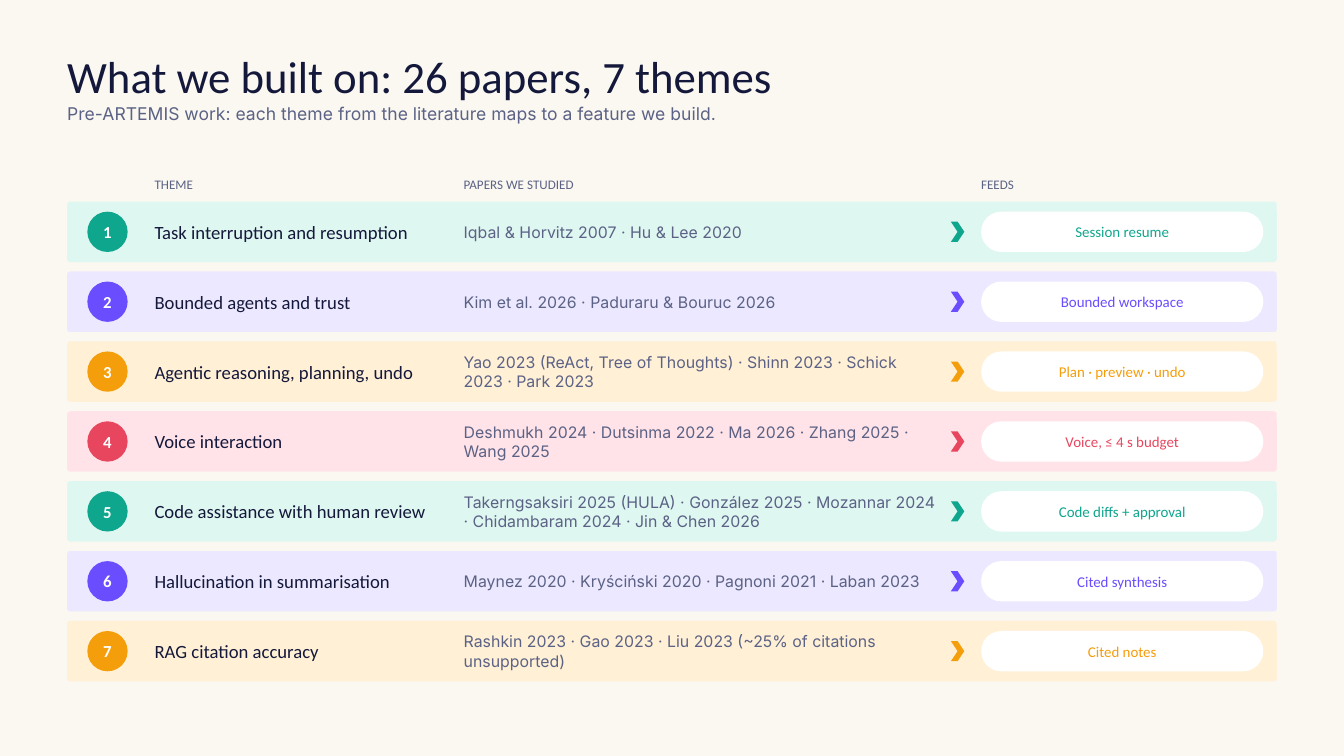
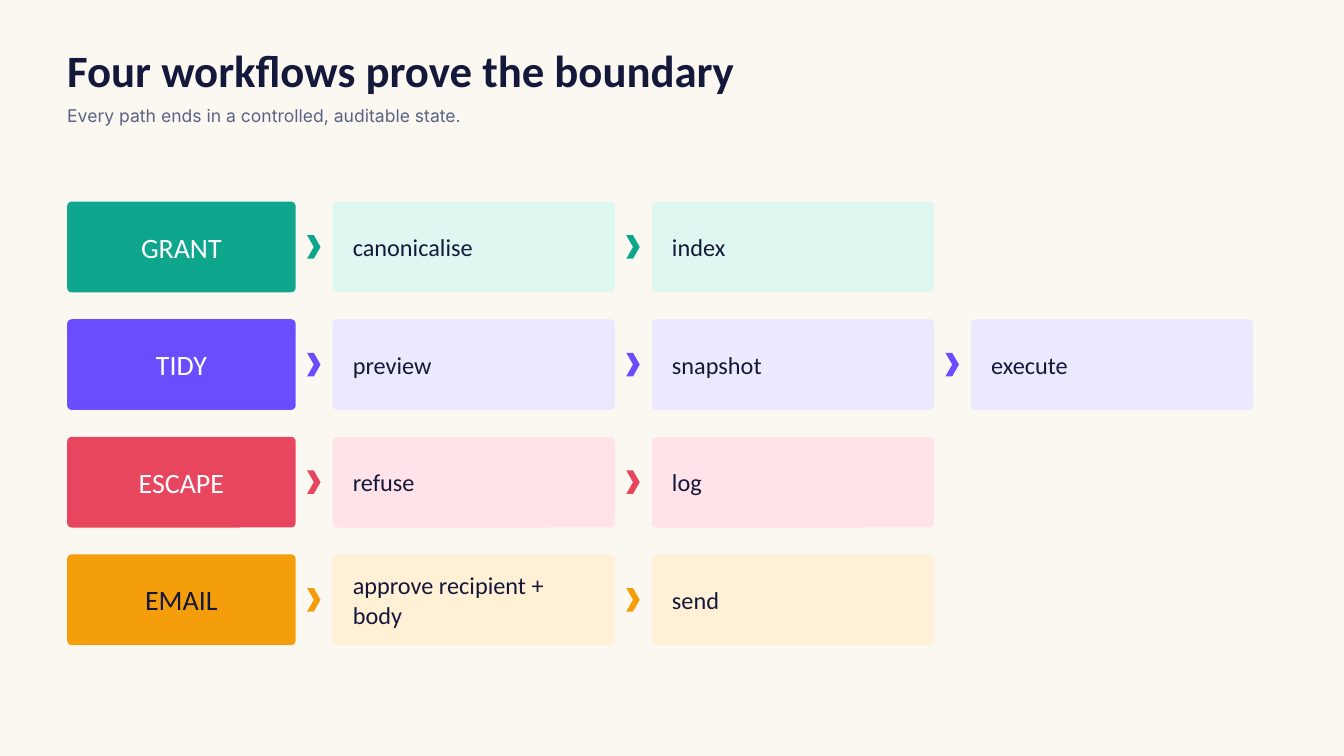
import pptx
import pptx.util
import pptx.dml.color
import pptx.enum.shapes
import pptx.enum.text

Inches = pptx.util.Inches
Pt = pptx.util.Pt
SHAPES = pptx.enum.shapes.MSO_SHAPE
ALIGN = pptx.enum.text.PP_ALIGN
ANCHOR = pptx.enum.text.MSO_ANCHOR

COLOURS = {
    "paper": "FBF8F1", "ink": "14183A", "muted": "5B6285", "white": "FFFFFF",
    "green": "0FA68E", "pale green": "DFF7F1",
    "violet": "6A4DFF", "pale violet": "ECE8FF",
    "amber": "F59E0B", "pale amber": "FFF0D6",
    "red": "E8465F", "pale red": "FFE3E8",
}

STYLES = {
    "title": {"name": "Calibri", "size": Pt(48)},
    "bold title": {"name": "Calibri", "size": Pt(48), "bold": True},
    "subtitle": {"name": "Inter", "size": Pt(18.8)},
    "heading": {"name": "Calibri", "size": Pt(14)},
    "number": {"name": "Calibri", "size": Pt(18), "bold": True},
    "theme": {"name": "Calibri", "size": Pt(20)},
    "papers": {"name": "Inter", "size": Pt(17)},
    "feature": {"name": "Calibri", "size": Pt(16)},
    "workflow": {"name": "Calibri", "size": Pt(30)},
    "step": {"name": "Calibri", "size": Pt(26)},
}

HEADINGS = [("THEME", 2.3, 4.4), ("PAPERS WE STUDIED", 6.9, 7), ("FEEDS", 14.6, 4.2)]

THEMES = [
    ("green", "Task interruption and resumption",
     "Iqbal & Horvitz 2007 · Hu & Lee 2020", "Session resume"),
    ("violet", "Bounded agents and trust",
     "Kim et al. 2026 · Paduraru & Bouruc 2026", "Bounded workspace"),
    ("amber", "Agentic reasoning, planning, undo",
     "Yao 2023 (ReAct, Tree of Thoughts) · Shinn 2023 · Schick 2023 · Park 2023",
     "Plan · preview · undo"),
    ("red", "Voice interaction",
     "Deshmukh 2024 · Dutsinma 2022 · Ma 2026 · Zhang 2025 · Wang 2025",
     "Voice, ≤ 4 s budget"),
    ("green", "Code assistance with human review",
     "Takerngsaksiri 2025 (HULA) · González 2025 · Mozannar 2024 · Chidambaram 2024 · Jin & Chen 2026",
     "Code diffs + approval"),
    ("violet", "Hallucination in summarisation",
     "Maynez 2020 · Kryściński 2020 · Pagnoni 2021 · Laban 2023", "Cited synthesis"),
    ("amber", "RAG citation accuracy",
     "Rashkin 2023 · Gao 2023 · Liu 2023 (~25% of citations unsupported)", "Cited notes"),
]

WORKFLOWS = [
    ("GRANT", "green", "white", ["canonicalise", "index"]),
    ("TIDY", "violet", "white", ["preview", "snapshot", "execute"]),
    ("ESCAPE", "red", "white", ["refuse", "log"]),
    ("EMAIL", "amber", "ink", ["approve recipient + body", "send"]),
]

LEFT = 1
TOP = 3


def rgb(colour):
    return pptx.dml.color.RGBColor.from_string(COLOURS[colour])


def write(holder, words, style, colour, align=ALIGN.LEFT, anchor=ANCHOR.MIDDLE, spacing=None):
    frame = holder.text_frame
    layout = {"word_wrap": True, "vertical_anchor": anchor, "margin_left": 0,
              "margin_right": 0, "margin_top": 0, "margin_bottom": 0}
    for key, value in layout.items():
        setattr(frame, key, value)
    paragraph = frame.paragraphs[0]
    paragraph.alignment = align
    if spacing:
        paragraph.line_spacing = Pt(spacing)
    run = paragraph.add_run()
    run.text = words
    for key, value in STYLES[style].items():
        setattr(run.font, key, value)
    run.font.color.rgb = rgb(colour)


def add_text(slide, area, words, style, colour, **options):
    box = slide.shapes.add_textbox(*map(Inches, area))
    write(box, words, style, colour, **options)
    box.text_frame.auto_size = pptx.enum.text.MSO_AUTO_SIZE.SHAPE_TO_FIT_TEXT


def add_block(slide, kind, area, colour, rounding=None):
    block = slide.shapes.add_shape(kind, *map(Inches, area))
    block.shadow.inherit = False
    block.fill.solid()
    block.fill.fore_color.rgb = rgb(colour)
    block.line.fill.background()
    if rounding is not None:
        block.adjustments[0] = rounding
    return block


def add_bar(slide, area, colour):
    add_block(slide, SHAPES.ROUNDED_RECTANGLE, area, colour, rounding=0.05)


def add_headed_slide(deck, title, subtitle, title_style, width, heights, spacings=(None, None)):
    slide = deck.slides.add_slide(deck.slide_layouts[6])
    slide.background.fill.solid()
    slide.background.fill.fore_color.rgb = rgb("paper")
    lines = [(title, title_style, "ink", 0.73), (subtitle, "subtitle", "muted", 1.53)]
    for (words, style, colour, top), height, spacing in zip(lines, heights, spacings):
        add_text(slide, (LEFT, top, width, height), words, style, colour,
                 anchor=ANCHOR.TOP, spacing=spacing)
    return slide


def build_themes(deck):
    slide = add_headed_slide(
        deck, "What we built on: 26 papers, 7 themes",
        "Pre-ARTEMIS work: each theme from the literature maps to a feature we build.",
        "title", 17.5, (0.9, 0.4))
    for heading, left, width in HEADINGS:
        add_text(slide, (left, 2.62, width, 0.3), heading, "heading", "muted", anchor=ANCHOR.TOP)

    height, pitch = 0.9, 1.04
    for index, (colour, theme, papers, feature) in enumerate(THEMES):
        top = TOP + index * pitch
        pill = (14.6, top + 0.15, 4.2, 0.6)
        add_bar(slide, (LEFT, top, 18, height), "pale " + colour)
        number = add_block(slide, SHAPES.OVAL, (1.3, top + 0.15, 0.6, 0.6), colour)
        write(number, str(index + 1), "number", "white", align=ALIGN.CENTER)
        add_text(slide, (2.3, top, 4.4, height), theme, "theme", "ink")
        add_text(slide, (6.9, top, 7.1, height), papers, "papers", "muted")
        add_block(slide, SHAPES.CHEVRON, (14.15, top + 0.3, 0.2, 0.3), colour)
        add_block(slide, SHAPES.ROUNDED_RECTANGLE, pill, "white", rounding=0.5)
        add_text(slide, pill, feature, "feature", colour, align=ALIGN.CENTER)


def build_workflows(deck):
    slide = add_headed_slide(
        deck, "Four workflows prove the boundary",
        "Every path ends in a controlled, auditable state.",
        "bold title", 15.62, (0.82, 0.34), (50.4, 25.3))

    name_width, step_width, gap, inset = 3.4, 4.2, 0.55, 0.3
    height, pitch = 1.35, 1.75
    for index, (workflow, colour, name_colour, steps) in enumerate(WORKFLOWS):
        top = TOP + index * pitch
        name_area = (LEFT, top, name_width, height)
        add_bar(slide, name_area, colour)
        add_text(slide, name_area, workflow, "workflow", name_colour, align=ALIGN.CENTER)
        for position, step in enumerate(steps):
            left = LEFT + name_width + gap + position * (step_width + gap)
            add_block(slide, SHAPES.CHEVRON, (left - 0.38, top + 0.5, 0.2, 0.35), colour)
            add_bar(slide, (left, top, step_width, height), "pale " + colour)
            add_text(slide, (left + inset, top, step_width - 2 * inset, height),
                     step, "step", "ink")


def main():
    deck = pptx.Presentation()
    deck.slide_width = Inches(20)
    deck.slide_height = Inches(11.25)
    build_themes(deck)
    build_workflows(deck)
    deck.save("out.pptx")


if __name__ == "__main__":
    main()
